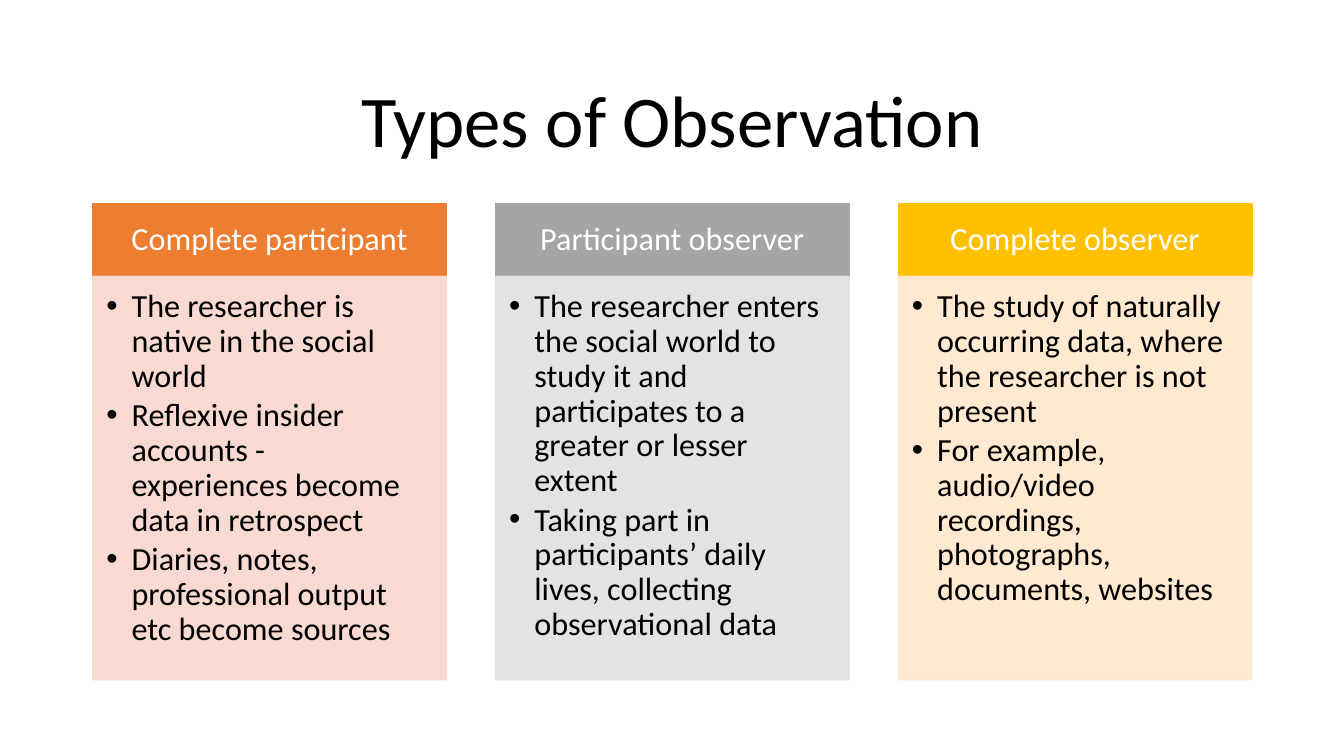
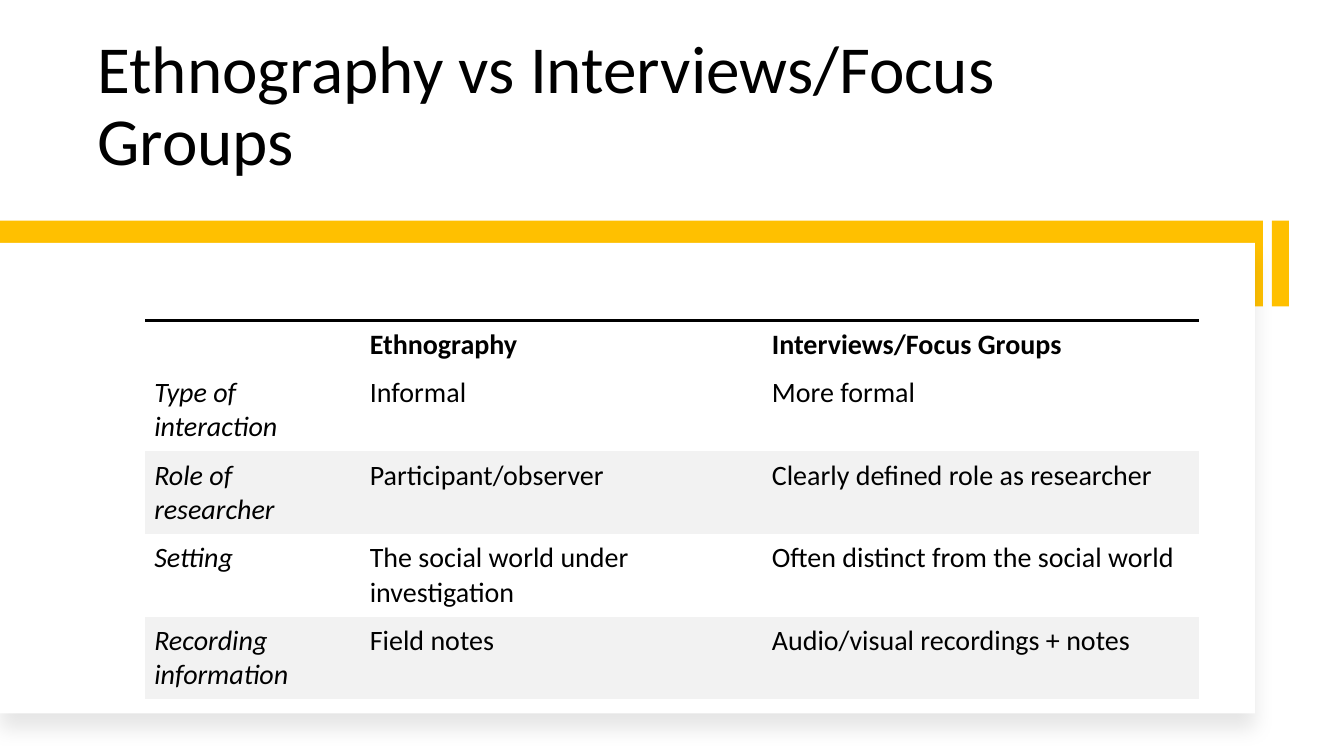
from lxml.etree import SubElement
from pptx import Presentation
from pptx.dml.color import RGBColor
from pptx.enum.shapes import MSO_SHAPE
from pptx.enum.text import MSO_ANCHOR, PP_ALIGN
from pptx.oxml import parse_xml
from pptx.oxml.ns import nsdecls, qn
from pptx.util import Pt

FONT = "Calibri"
BLACK, WHITE, GOLD, BAND = "000000", "FFFFFF", "FFC000", "F2F2F2"
NO_STYLE = "{2D5ABB26-0587-4C30-8999-92F81FD0307C}"


def add_span(para, text, size, color=BLACK, bold=False, italic=False):
    span = para.add_run()
    span.text = text
    span.font.name = FONT
    span.font.size = Pt(size)
    span.font.bold = bold
    span.font.italic = italic
    span.font.color.rgb = RGBColor.from_string(color)


def add_box(page, place, fill=None, line=None, anchor=MSO_ANCHOR.TOP, insets=(7.2, 3.6, 7.2, 3.6)):
    """Add a wrapping rectangle; place is left, top, width, height and insets run left, top, right, bottom."""
    box = page.shapes.add_shape(MSO_SHAPE.RECTANGLE, *map(Pt, place))
    box.shadow.inherit = False
    if fill:
        box.fill.solid()
        box.fill.fore_color.rgb = RGBColor.from_string(fill)
    else:
        box.fill.background()
    if line:
        box.line.color.rgb = RGBColor.from_string(line)
        box.line.width = Pt(1)
    else:
        box.line.fill.background()
    frame = box.text_frame
    frame.word_wrap = True
    frame.vertical_anchor = anchor
    frame.margin_left, frame.margin_top, frame.margin_right, frame.margin_bottom = map(Pt, insets)
    frame.paragraphs[0].alignment = PP_ALIGN.LEFT
    frame.paragraphs[0].line_spacing = 0.9
    return box


deck = Presentation()
deck.slide_width, deck.slide_height = Pt(960), Pt(540)

titles = [
    ("Types of Observation", 52, (66, 44, 828, 89.3), PP_ALIGN.CENTER, MSO_ANCHOR.MIDDLE),
    ("Ethnography vs Interviews/Focus Groups", 48, (62.6, 30.2, 798.5, 102.2), PP_ALIGN.LEFT, MSO_ANCHOR.BOTTOM),
]
pages = []
for text, size, place, align, anchor in titles:
    page = deck.slides.add_slide(deck.slide_layouts[6])
    para = add_box(page, place, anchor=anchor).text_frame.paragraphs[0]
    para.alignment = align
    add_span(para, text, size)
    pages.append(page)
types_page, compare_page = pages

# Observation types: one headed column each
columns = [
    ("Complete participant", "ED7D31", "F8D7CE", [
        "The researcher is native in the social world",
        "Reflexive insider accounts - experiences become data in retrospect",
        "Diaries, notes, professional output etc become sources",
    ]),
    ("Participant observer", "A5A5A5", "E1E1E1", [
        "The researcher enters the social world to study it and participates to a greater or lesser extent",
        "Taking part in participants’ daily lives, collecting observational data",
    ]),
    ("Complete observer", GOLD, "FFE8CC", [
        "The study of naturally occurring data, where the researcher is not present",
        "For example, audio/video recordings, photographs, documents, websites",
    ]),
]
COLUMN_WIDTH, COLUMN_STEP = 252.6, 287.7
HEAD_TOP, HEAD_HEIGHT, BODY_HEIGHT = 145.2, 52.2, 288.2
for number, (heading, strong, pale, points) in enumerate(columns):
    left = 66.3 + number * COLUMN_STEP
    head = add_box(types_page, (left, HEAD_TOP, COLUMN_WIDTH, HEAD_HEIGHT), strong, strong,
                   MSO_ANCHOR.MIDDLE, (13, 7.4, 13, 7.4))
    para = head.text_frame.paragraphs[0]
    para.alignment = PP_ALIGN.CENTER
    add_span(para, heading, 23, WHITE)

    body = add_box(types_page, (left, HEAD_TOP + HEAD_HEIGHT, COLUMN_WIDTH, BODY_HEIGHT), pale, pale,
                   insets=(9.7, 9.7, 13, 14.6))
    for color in body.element.spPr.iter(qn("a:srgbClr")):
        SubElement(color, qn("a:alpha"), val="90000")
    frame = body.text_frame
    for index, point in enumerate(points):
        para = frame.add_paragraph() if index else frame.paragraphs[0]
        props = para._p.get_or_add_pPr()
        props.set("marL", str(Pt(18)))
        props.set("indent", str(-Pt(18)))
        SubElement(props, qn("a:buFont"), typeface="Arial")
        SubElement(props, qn("a:buChar"), char="•")
        para.alignment = PP_ALIGN.LEFT
        para.line_spacing = 0.9
        para.space_after = Pt(3.45)
        add_span(para, point, 23)

# Comparison: gold bars behind a white panel with a soft shadow
BAR_TOP, BAR_HEIGHT = 157.6, 61.2
add_box(compare_page, (0, BAR_TOP, 902, BAR_HEIGHT), GOLD)
panel = add_box(compare_page, (0, 173.5, 896.4, 336.2), WHITE)
panel.element.spPr.find(qn("a:effectLst")).append(parse_xml(
    f'<a:outerShdw {nsdecls("a")} blurRad="{Pt(15)}" dist="{Pt(11)}" dir="5400000" algn="t" rotWithShape="0">'
    f'<a:srgbClr val="{BLACK}"><a:alpha val="10000"/></a:srgbClr></a:outerShdw>'))
add_box(compare_page, (908.6, BAR_TOP, 12.2, BAR_HEIGHT), GOLD)

rows = [
    ("", "Ethnography", "Interviews/Focus Groups"),
    ("Type of interaction", "Informal", "More formal"),
    ("Role of researcher", "Participant/observer", "Clearly defined role as researcher"),
    ("Setting", "The social world under investigation", "Often distinct from the social world"),
    ("Recording information", "Field notes", "Audio/visual recordings + notes"),
]
widths = [154, 287.2, 311.8]
heights = [34.4] + [58.4] * 4
table = compare_page.shapes.add_table(
    len(rows), len(widths), Pt(103.6), Pt(229), Pt(sum(widths)), Pt(sum(heights))).table
table.first_row = table.horz_banding = False
table._tbl.tblPr.find(qn("a:tableStyleId")).text = NO_STYLE
for column, width in zip(table.columns, widths):
    column.width = Pt(width)
for row_index, (texts, height) in enumerate(zip(rows, heights)):
    table.rows[row_index].height = Pt(height)
    for column_index, text in enumerate(texts):
        cell = table.cell(row_index, column_index)
        cell.margin_left = cell.margin_right = Pt(6.6)
        cell.margin_top = cell.margin_bottom = Pt(5)
        if row_index and row_index % 2 == 0:
            cell.fill.solid()
            cell.fill.fore_color.rgb = RGBColor.from_string(BAND)
        else:
            cell.fill.background()
        if row_index == 0:
            cell._tc.get_or_add_tcPr().insert(0, parse_xml(
                f'<a:lnT {nsdecls("a")} w="{Pt(2.25)}"><a:solidFill><a:srgbClr val="{BLACK}"/></a:solidFill></a:lnT>'))
        if text:
            add_span(cell.text_frame.paragraphs[0], text, 20, bold=row_index == 0, italic=column_index == 0)

deck.save("out.pptx")
